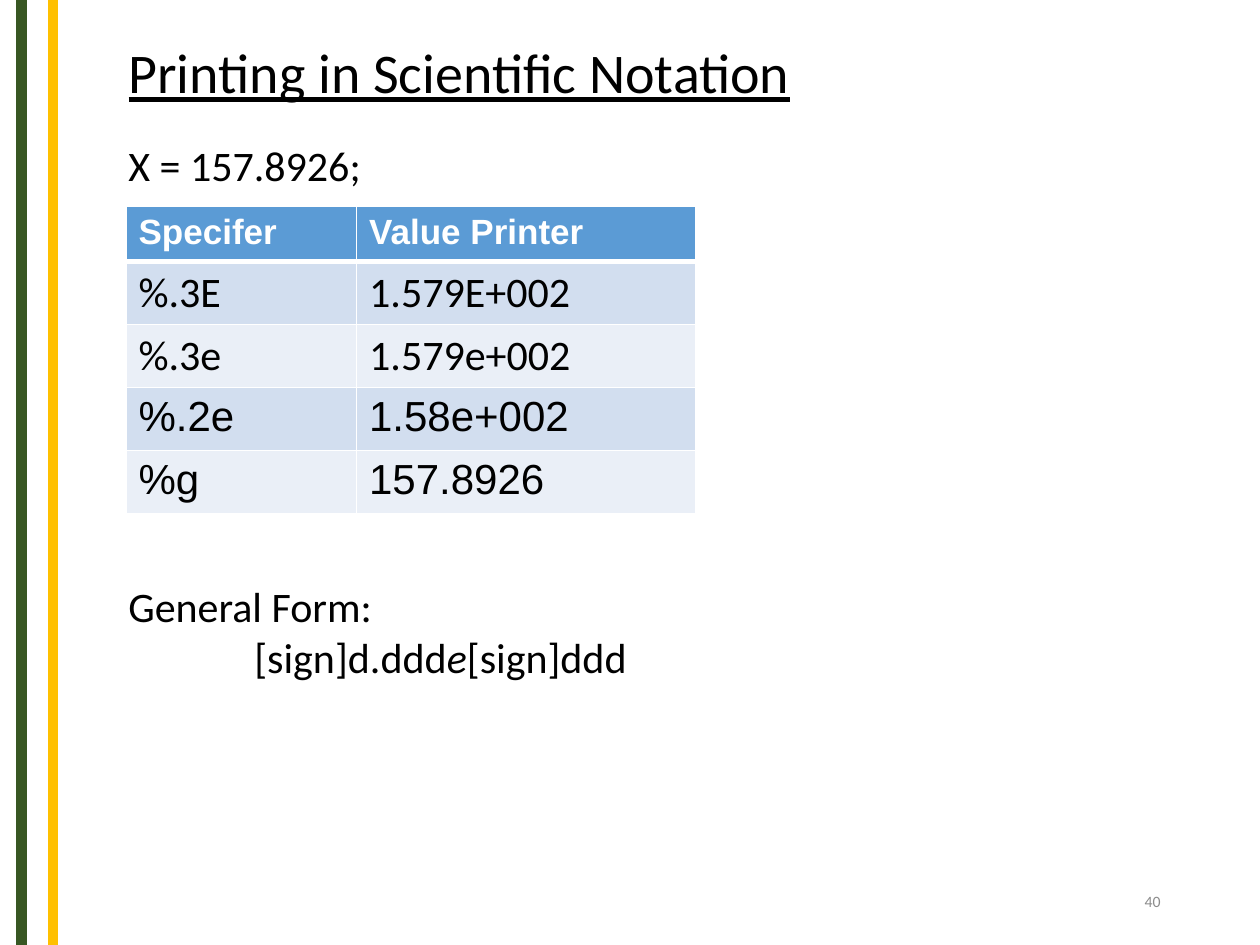
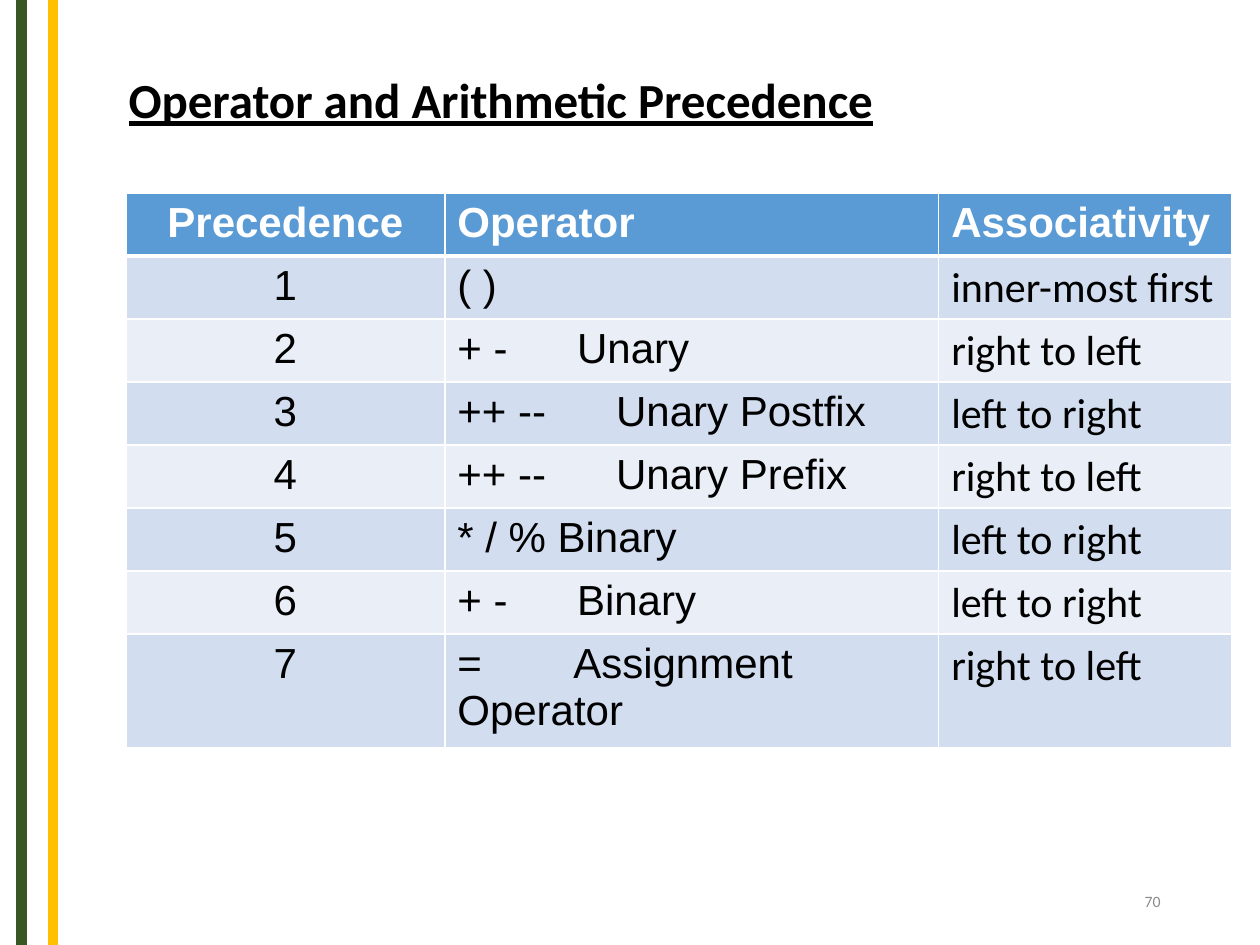
from pptx import Presentation
from pptx.dml.color import RGBColor
from pptx.enum.shapes import MSO_CONNECTOR
from pptx.enum.text import MSO_ANCHOR, MSO_AUTO_SIZE, PP_ALIGN
from pptx.util import Inches, Pt
from lxml.etree import SubElement
from pptx.oxml.ns import qn

BLACK, WHITE, GREY = "000000", "FFFFFF", "8C8C8C"
HEAD, BANDS = "5B9BD5", ("D2DEEF", "EAEFF7")
STRIPES = ((0.17, "385723"), (0.42, "FFC000"))


def hue(code):
    """Turn a hex string into a colour."""
    return RGBColor.from_string(code)


def write(para, text, size, face="Calibri", color=BLACK, bold=False, italic=False):
    """Add one formatted run to a paragraph and return its font."""
    run = para.add_run()
    run.text = text
    font = run.font
    font.size, font.name = Pt(size), face
    font.bold, font.italic = bold, italic
    font.color.rgb = hue(color)
    return font


# Each operator row: gap is the tab stop, in inches, between sign and name
pages = [
    dict(title="Printing in Scientific Notation", number="40", top=0.25,
         width=5.52, size=32, bold=False, start=1.64, cols=(1.83, 2.69),
         head=20, first=0.42, center=False,
         rows=[("Specifer", "Value Printer"),
               ("%.3E", "1.579E+002"), ("%.3e", "1.579e+002"),
               ("%.2e", "1.58e+002"), ("%g", "157.8926")],
         plain=lambda row, col: row in (1, 2), gaps={}),
    dict(title="Operator and Arithmetic Precedence", number="70", top=0.5,
         width=8.08, size=28, bold=True, start=1.53, cols=(2.53, 3.92, 2.33),
         head=24, first=0.5, center=True,
         rows=[("Precedence", "Operator", "Associativity"),
               ("1", "( )", "inner-most first"),
               ("2", "+ -\tUnary", "right to left"),
               ("3", "++ --\tUnary Postfix", "left to right"),
               ("4", "++ --\tUnary Prefix", "right to left"),
               ("5", "* / % Binary", "left to right"),
               ("6", "+ -\tBinary", "left to right"),
               ("7", "=\tAssignment Operator", "right to left")],
         plain=lambda row, col: row > 0 and col == 2,
         gaps={"+ -": 0.95, "++ --": 1.26, "=": 0.92}),
]

deck = Presentation()
deck.slide_width, deck.slide_height = Inches(10), Inches(7.5)

for page in pages:
    slide = deck.slides.add_slide(deck.slide_layouts[5])
    shapes = slide.shapes

    # Side stripes
    for x, color in STRIPES:
        line = shapes.add_connector(MSO_CONNECTOR.STRAIGHT, Inches(x), 0,
                                    Inches(x), Inches(7.5))
        line.line.color.rgb, line.line.width = hue(color), Pt(6)
        SubElement(line._element.spPr, qn("a:effectLst"))

    # Title
    title = shapes.title
    title.left, title.top = Inches(0.92), Inches(page["top"])
    title.width, title.height = Inches(page["width"]), Inches(0.64)
    frame = title.text_frame
    frame.vertical_anchor, frame.auto_size = MSO_ANCHOR.TOP, MSO_AUTO_SIZE.NONE
    frame.word_wrap = page["bold"]
    para = frame.paragraphs[0]
    para.alignment = PP_ALIGN.LEFT
    write(para, page["title"], page["size"], bold=page["bold"]).underline = True

    # Page number
    frame = shapes.add_textbox(Inches(7.06), Inches(6.95), Inches(2.25),
                               Inches(0.4)).text_frame
    frame.word_wrap, frame.vertical_anchor = True, MSO_ANCHOR.MIDDLE
    para = frame.paragraphs[0]
    para.alignment = PP_ALIGN.RIGHT
    write(para, page["number"], 9, color=GREY)

    # Table
    rows, cols = page["rows"], page["cols"]
    high = page["first"] + 0.5 * (len(rows) - 1)
    table = shapes.add_table(len(rows), len(cols), Inches(1), Inches(page["start"]),
                             Inches(sum(cols)), Inches(high)).table
    for col, width in enumerate(cols):
        table.columns[col].width = Inches(width)
    for row, texts in enumerate(rows):
        table.rows[row].height = Inches(0.5 if row else page["first"])
        for col, text in enumerate(texts):
            cell = table.cell(row, col)
            props = cell._tc.get_or_add_tcPr()
            for side in "LRTB":
                thick = (row, side) in ((0, "B"), (1, "T"))
                edge = SubElement(props, qn("a:ln" + side), w=str(Pt(3 if thick else 1)))
                fill = SubElement(edge, qn("a:solidFill"))
                SubElement(fill, qn("a:srgbClr"), val=WHITE)
            cell.fill.solid()
            cell.fill.fore_color.rgb = hue(BANDS[(row - 1) % 2] if row else HEAD)
            para = cell.text_frame.paragraphs[0]
            if page["center"] and col == 0:
                para.alignment = PP_ALIGN.CENTER
            if "\t" in text:
                stop = Inches(page["gaps"][text.split("\t")[0]])
                tabs = SubElement(para._p.get_or_add_pPr(), qn("a:tabLst"))
                SubElement(tabs, qn("a:tab"), pos=str(stop), algn="l")
            write(para, text, 24 if row else page["head"],
                  "Calibri" if page["plain"](row, col) else "Arial",
                  BLACK if row else WHITE, bold=row == 0)

# Text above and below the first table
shapes = deck.slides[0].shapes
notes = [(1.06, 0.5, [["X = 157.8926;"]]),
         (4.56, 0.91, [["General Form:"], ["[sign]d.ddd", "e", "[sign]ddd"]])]
for top, height, lines in notes:
    frame = shapes.add_textbox(Inches(0.92), Inches(top), Inches(5.52),
                               Inches(height)).text_frame
    frame.word_wrap = True
    for index, parts in enumerate(lines):
        para = frame.add_paragraph() if index else frame.paragraphs[0]
        if index:
            para._p.get_or_add_pPr().set("marL", str(Inches(1)))
        for part in parts:
            write(para, part, 24, italic=part == "e")

deck.save("out.pptx")
